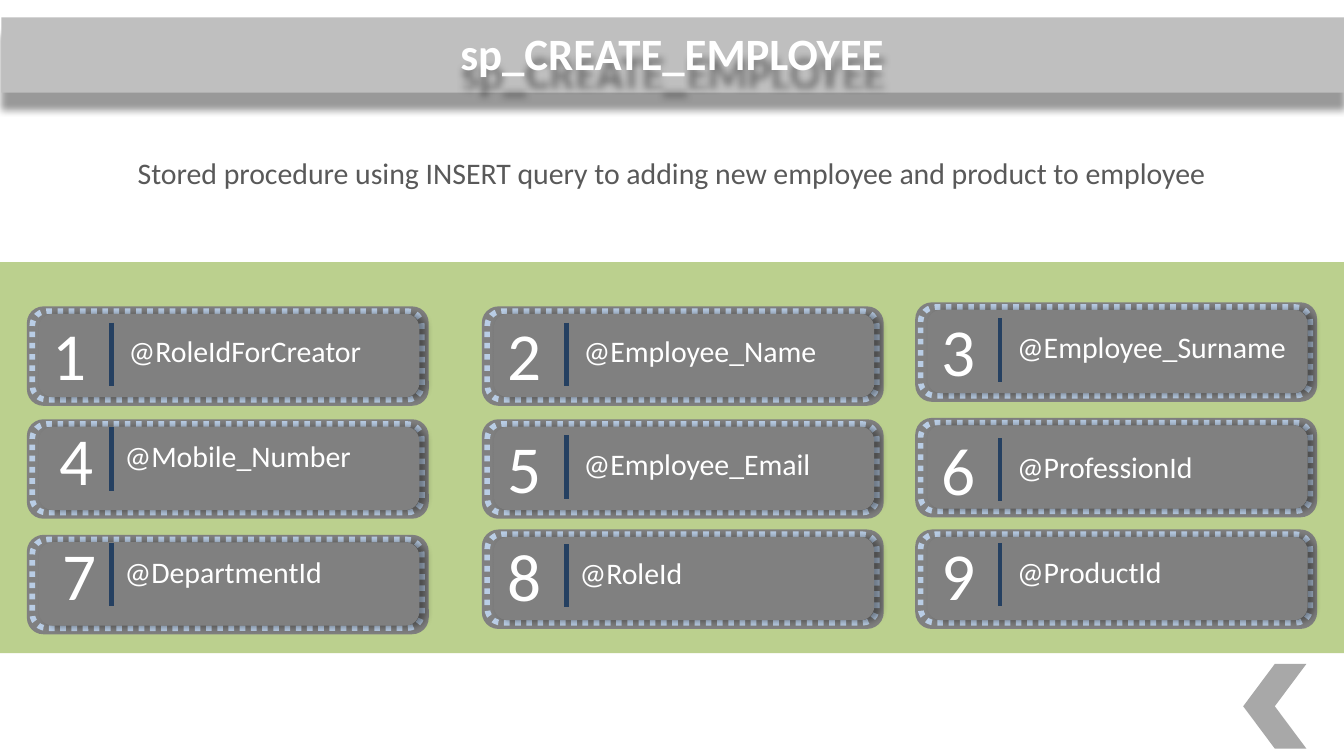
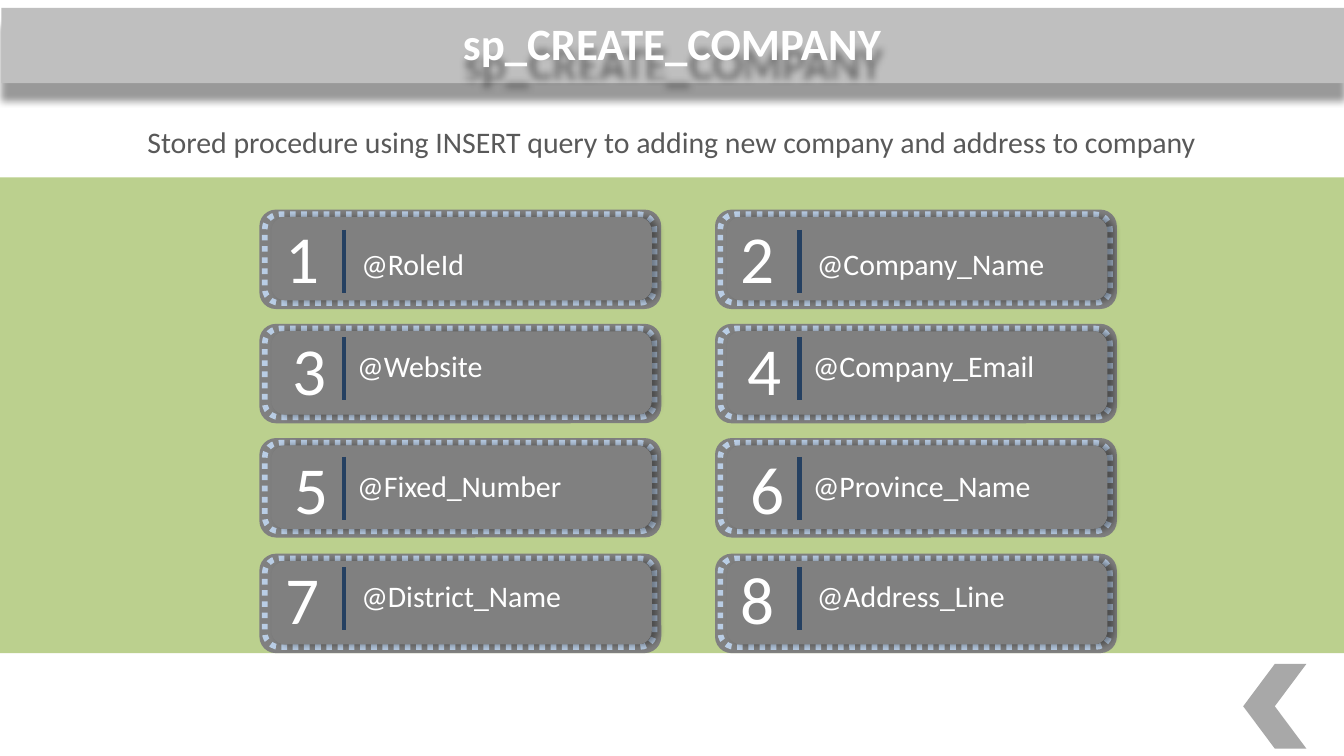
from pptx import Presentation
from pptx.dml.color import RGBColor
from pptx.enum.dml import MSO_LINE
from pptx.enum.shapes import MSO_CONNECTOR, MSO_SHAPE
from pptx.enum.text import MSO_ANCHOR, MSO_AUTO_SIZE, PP_ALIGN
from pptx.util import Emu, Inches, Pt
from lxml.etree import SubElement
from pptx.oxml.ns import qn

# Grid: 100 columns across the slide, square cells
WIDE = Inches(10)
HIGH = WIDE * 9 // 16
CELL = WIDE // 100

# Shared look
FONT = "Calibri"
WHITE = RGBColor(0xFF, 0xFF, 0xFF)
GREEN = RGBColor(0x9B, 0xBB, 0x59)
GRAY = RGBColor(0x80, 0x80, 0x80)
SILVER = RGBColor(0xBF, 0xBF, 0xBF)
SLATE = RGBColor(0x59, 0x59, 0x59)
SKY = RGBColor(0xB9, 0xCD, 0xE5)
NAVY = RGBColor(0x25, 0x40, 0x61)
FLOOR = 48.6  # row where the green band ends

# Card fits: card row, rule row, digit shift, label column, label drop
STAFF_FITS = [
    (22.8, 24.0, 0, 6.6, 0.3), (22.8, 24.0, 0, 6.6, 0.3),
    (22.5, 23.7, 0, 6.6, 0.3),
    (31.2, 31.8, 0.5, 6.3, 0.3), (31.2, 32.4, 0, 6.6, 0.3),
    (31.1, 32.6, 0, 6.6, 0.3),
    (39.8, 40.4, 0.7, 6.3, 0.3), (39.4, 40.5, 0, 6.3, 0.3),
    (39.4, 40.4, 0, 6.6, 0.3),
]
FIRM_ROWS = [
    (15.6, 17.1, 0, 6.6, 0.7), (24.1, 25.1, 0.5, 6.3, 0.3),
    (32.6, 34.0, 0.7, 6.3, 0.3), (41.2, 42.2, 0, 6.6, 0.3),
]


def span(*cells):
    return [Emu(round(n * CELL)) for n in cells]


def shadow(shape, dist, angle):
    props = shape.element.spPr
    for old in props.findall(qn("a:effectLst")):
        props.remove(old)
    cast = SubElement(SubElement(props, qn("a:effectLst")), qn("a:outerShdw"),
                      blurRad=str(Pt(4)), dist=str(Pt(dist)),
                      dir=str(angle * 60000), rotWithShape="0")
    tint = SubElement(cast, qn("a:srgbClr"), val="000000")
    SubElement(tint, qn("a:alpha"), val="40000")


def block(shapes, kind, box, color, alpha=None):
    shape = shapes.add_shape(kind, *span(*box))
    shape.shadow.inherit = False
    shape.fill.solid()
    shape.fill.fore_color.rgb = color
    shape.line.fill.background()
    if alpha:
        tint = shape.element.xpath("./p:spPr/a:solidFill/a:srgbClr")[0]
        SubElement(tint, qn("a:alpha"), val=str(alpha * 1000))
    return shape


def write(frame, text, size, color, align, bold=False):
    frame.word_wrap = True
    para = frame.paragraphs[0]
    para.alignment = align
    run = para.add_run()
    run.text = text
    font = run.font
    font.name, font.size, font.bold = FONT, Pt(size), bold
    font.color.rgb = color


def label(shapes, box, text, size, color=WHITE, align=PP_ALIGN.CENTER):
    frame = shapes.add_textbox(*span(*box)).text_frame
    write(frame, text, size, color, align)
    frame.auto_size = MSO_AUTO_SIZE.SHAPE_TO_FIT_TEXT


def rule(shapes, x, top, tall):
    line = shapes.add_connector(MSO_CONNECTOR.STRAIGHT,
                                *span(x, top, x, top + tall))
    line.line.color.rgb = NAVY
    line.line.width = Pt(2.5)
    SubElement(line.element.spPr, qn("a:effectLst"))


def card(slide, left, fit, num, name):
    top, mark, shift, gap, drop = fit
    shapes = slide.shapes.add_group_shape().shapes
    # Three nested plates
    plate = MSO_SHAPE.ROUNDED_RECTANGLE
    block(shapes, plate, (left, top, 29.9, 7.4), GRAY)
    rim = block(shapes, plate, (left + 0.4, top + 0.35, 29, 6.6), GRAY)
    rim.line.color.rgb = SKY
    rim.line.width = Pt(3)
    rim.line.dash_style = MSO_LINE.ROUND_DOT
    core = block(shapes, plate, (left + 0.9, top + 0.55, 28.3, 6.2), GRAY)
    shadow(core, 3, 0)
    # Number, rule and parameter name
    label(shapes, (left + shift, mark - 1.2 - (drop - 0.3) * 0.75, 6.4, 7.1),
          str(num), 36)
    rule(shapes, left + 6.3, mark, 4.7)
    label(shapes, (left + gap, mark + drop, 23.3, 3.7), name, 16,
          align=PP_ALIGN.LEFT)


def cards(slide, lefts, fits, names):
    for i, (fit, name) in enumerate(zip(fits, names)):
        card(slide, lefts[i % len(lefts)], fit, i + 1, name)


def head(slide, top, text):
    bar = block(slide.shapes, MSO_SHAPE.RECTANGLE, (0.1, top, 99.9, 5.6),
                SILVER)
    shadow(bar, 9, 90)
    title = slide.shapes.title
    title.left, title.top, title.width, title.height = span(
        0, top + 0.2, 100, 4.8)
    title.fill.background()
    shadow(title, 9, 90)
    frame = title.text_frame
    frame.margin_left = frame.margin_right = Inches(0.07)
    frame.margin_top = frame.margin_bottom = Inches(0.04)
    frame.vertical_anchor = MSO_ANCHOR.TOP
    frame.auto_size = MSO_AUTO_SIZE.NONE
    write(frame, text, 24, WHITE, PP_ALIGN.CENTER, True)
    bar.element.addnext(title.element)


def page(deck, title, bar, note, row, band):
    slide = deck.slides.add_slide(deck.slide_layouts[5])
    block(slide.shapes, MSO_SHAPE.RECTANGLE, (0, band, 100, FLOOR - band),
          GREEN, 68)
    head(slide, bar, title)
    label(slide.shapes, (0, row, 100, 3.7), note, 16, SLATE)
    # Back arrow
    back = block(slide.shapes, MSO_SHAPE.CHEVRON, (92.5, 49.4, 4.7, 6.3),
                 GRAY, 68)
    back.rotation = 180
    return slide


def main():
    deck = Presentation()
    deck.slide_width, deck.slide_height = WIDE, HIGH

    # Employee procedure
    staff = page(
        deck, "sp_CREATE_EMPLOYEE", 1.3,
        "Stored procedure using INSERT query to adding new employee "
        "and product to employee", 11, 19.5)
    cards(staff, (2, 35.85, 68.1), STAFF_FITS, [
        "@RoleIdForCreator", "@Employee_Name", "@Employee_Surname",
        "@Mobile_Number", "@Employee_Email", "@ProfessionId",
        "@DepartmentId", "@RoleId", "@ProductId"])

    # Company procedure: both columns share the row fits
    firm = page(
        deck, "sp_CREATE_COMPANY", 0.6,
        "Stored procedure using INSERT query to adding new company "
        "and address to company", 8.7, 13.2)
    cards(firm, (19.3, 53.2), [fit for fit in FIRM_ROWS for _ in range(2)], [
        "@RoleId", "@Company_Name", "@Website", "@Company_Email",
        "@Fixed_Number", "@Province_Name", "@District_Name",
        "@Address_Line"])

    deck.save("out.pptx")


if __name__ == "__main__":
    main()
